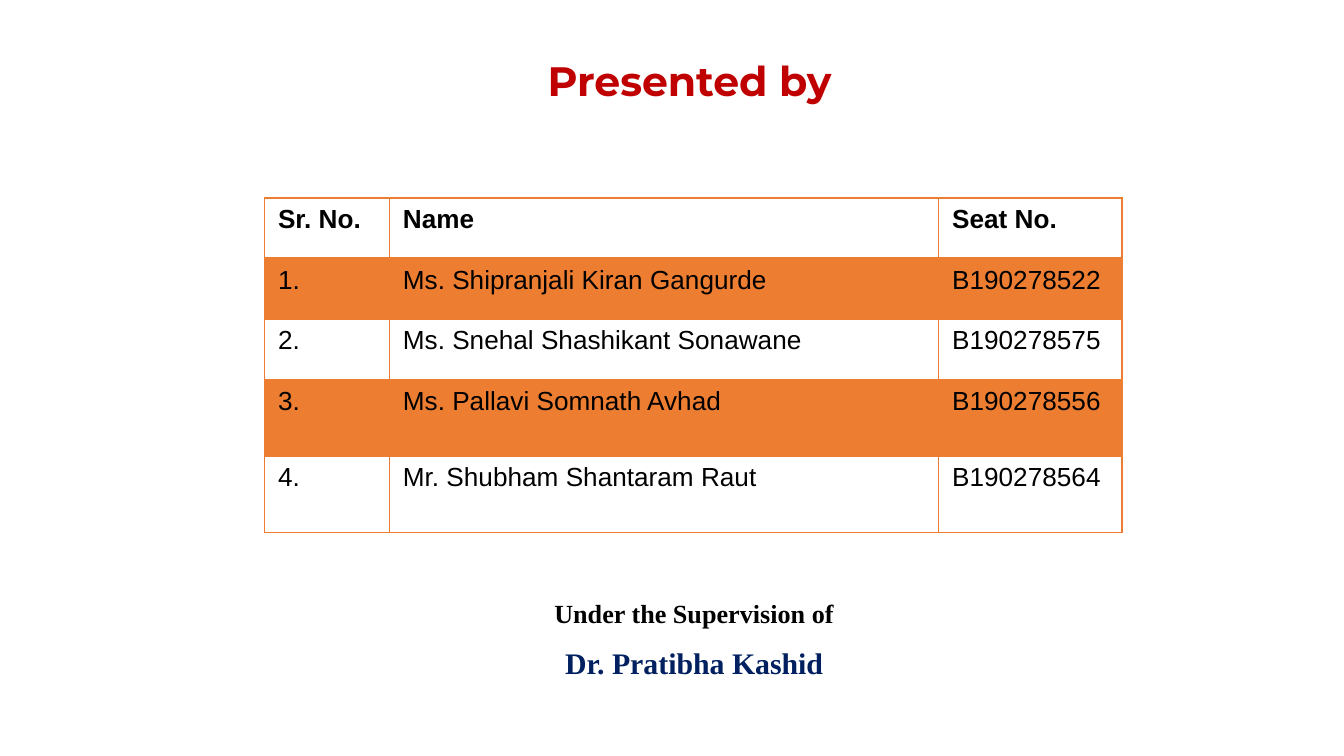
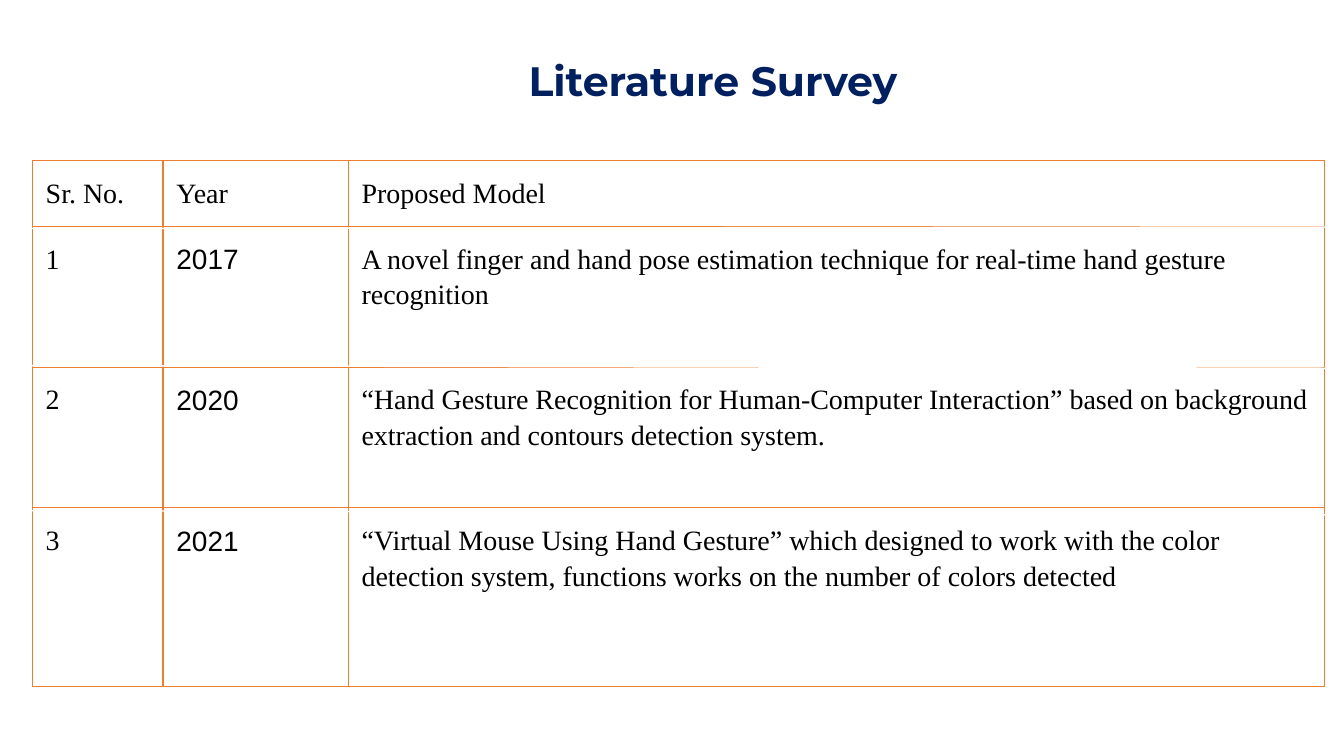
import pptx
import pptx.util
import pptx.dml.color
import pptx.enum.shapes
import pptx.enum.text
import pptx.oxml.ns
from lxml import etree

Cm = pptx.util.Cm
Pt = pptx.util.Pt
Rgb = pptx.dml.color.RGBColor.from_string
Align = pptx.enum.text.PP_ALIGN
qn = pptx.oxml.ns.qn

THEME = {
    "red": "C00000", "navy": "002060", "black": "000000",
    "orange": "ED7D31", "white": "FFFFFF",
    "head": "Montserrat", "sans": "Arial", "serif": "Times New Roman",
    "title": 22, "guide": 16, "body": 14, "study": 15,
}

TEAM = [
    ("Sr. No.", "Name", "Seat No."),
    ("1.", "Ms. Shipranjali Kiran Gangurde", "B190278522"),
    ("2.", "Ms. Snehal Shashikant Sonawane", "B190278575"),
    ("3.", "Ms. Pallavi Somnath Avhad", "B190278556"),
    ("4.", "Mr. Shubham Shantaram Raut", "B190278564"),
]
GUIDE = [
    ("Under the Supervision of", "body", "black"),
    ("Dr. Pratibha Kashid", "guide", "navy"),
]
STUDY = [
    ("Sr. No.", "Year", "Proposed Model"),
    ("1", "2017", "A novel finger and hand pose estimation technique for "
     "real-time hand gesture recognition"),
    ("2", "2020", "“Hand Gesture Recognition for Human-Computer Interaction” "
     "based on background extraction and contours detection system."),
    ("3", "2021", "“Virtual Mouse Using Hand Gesture” which designed to work "
     "with the color detection system, functions works on the number of "
     "colors detected"),
]
RULES = [
    (0.23, 4.32, 25.12, 4.29),
    (0.23, 6.91, 25.22, 6.96),
    (0.2, 9.65, 25.12, 9.73),
]


def apply(obj, vals):
    for key, val in vals.items():
        setattr(obj, key, val)


def write(para, text, size, face, tint="black", bold=False):
    run = para.add_run()
    run.text = text
    apply(run.font, {"size": Pt(THEME[size]), "name": THEME[face], "bold": bold})
    run.font.color.rgb = Rgb(THEME[tint])


def add_box(slide, left, top, wide, high, pad):
    frame = slide.shapes.add_textbox(Cm(left), Cm(top), Cm(wide), Cm(high)).text_frame
    apply(frame, {"word_wrap": True, "margin_top": Cm(pad), "margin_bottom": Cm(pad)})
    return frame


def add_title(slide, left, text, tint, gap, bold):
    para = add_box(slide, left, 0.79, 8.33, 1.45, 0.25).paragraphs[0]
    para.alignment = Align.CENTER
    write(para, text, "title", "head", tint, True)
    write(para, " ", gap, "head", tint, bold)


def edge(cell, side, width):
    props = cell._tc.get_or_add_tcPr()
    line = etree.SubElement(props, qn(f"a:ln{side}"), w=str(int(Pt(width))))
    fill = etree.SubElement(line, qn("a:solidFill"))
    etree.SubElement(fill, qn("a:srgbClr"), val=THEME["orange"])


def paint(cell, band):
    if not band:
        cell.fill.background()
        return
    cell.fill.solid()
    cell.fill.fore_color.rgb = Rgb(THEME["orange"])
    tint = cell._tc.tcPr.find(".//" + qn("a:srgbClr"))
    etree.SubElement(tint, qn("a:alpha"), val="20000")


def add_grid(slide, rows, left, top, cols, highs, width, look):
    grid = slide.shapes.add_table(
        len(rows), len(cols), Cm(left), Cm(top), Cm(sum(cols)), Cm(sum(highs))).table
    apply(grid, {"first_row": False, "horz_banding": False})
    for col, wide in zip(grid.columns, cols):
        col.width = Cm(wide)
    for r, (row, high) in enumerate(zip(rows, highs)):
        grid.rows[r].height = Cm(high)
        for c, text in enumerate(row):
            cell = grid.cell(r, c)
            for side in "LRTB":
                heavy = (side == "B" and r == 0) or (side == "T" and r == 1)
                edge(cell, side, 2 * width if heavy and look is team_look else width)
            look(cell, r, c, text)


def team_look(cell, r, c, text):
    paint(cell, r % 2)
    write(cell.text_frame.paragraphs[0], text, "body", "sans", bold=r == 0)


def study_look(cell, r, c, text):
    paint(cell, False)
    apply(cell, {"margin_top": Cm(0.25), "margin_bottom": Cm(0.25)})
    para = cell.text_frame.paragraphs[0]
    para.line_spacing = 1.15
    write(para, text, "study", "sans" if r and c == 1 else "serif")


def add_guide(slide):
    frame = add_box(slide, 3.58, 11.07, 19.08, 2.54, 0.13)
    for i, (text, size, tint) in enumerate(GUIDE):
        para = frame.add_paragraph() if i else frame.paragraphs[0]
        apply(para, {"alignment": Align.CENTER, "line_spacing": 1.15,
                     "space_before": Pt(6)})
        write(para, text, size, "serif", tint, True)


def add_rule(slide, ends):
    rule = slide.shapes.add_connector(
        pptx.enum.shapes.MSO_CONNECTOR.STRAIGHT, *map(Cm, ends))
    rule.line.width = Pt(0.75)
    rule.line.color.rgb = Rgb(THEME["white"])
    etree.SubElement(rule._element.spPr, qn("a:effectLst"))


def main():
    deck = pptx.Presentation()
    apply(deck, {"slide_width": Cm(25.4), "slide_height": Cm(14.29)})
    blank = deck.slide_layouts[6]

    team = deck.slides.add_slide(blank)
    add_title(team, 8.94, "Presented by", "red", "guide", False)
    add_grid(team, TEAM, 5, 3.74, (2.36, 10.38, 3.47),
             (1.15, 1.15, 1.15, 1.44, 1.44), 1, team_look)
    add_guide(team)

    study = deck.slides.add_slide(blank)
    add_title(study, 9.42, "Literature Survey", "navy", "title", True)
    add_grid(study, STUDY, 0.61, 3.04, (2.47, 3.5, 18.45),
             (1.24, 2.66, 2.66, 3.38), 0.75, study_look)
    for ends in RULES:
        add_rule(study, ends)

    deck.save("out.pptx")


if __name__ == "__main__":
    main()
